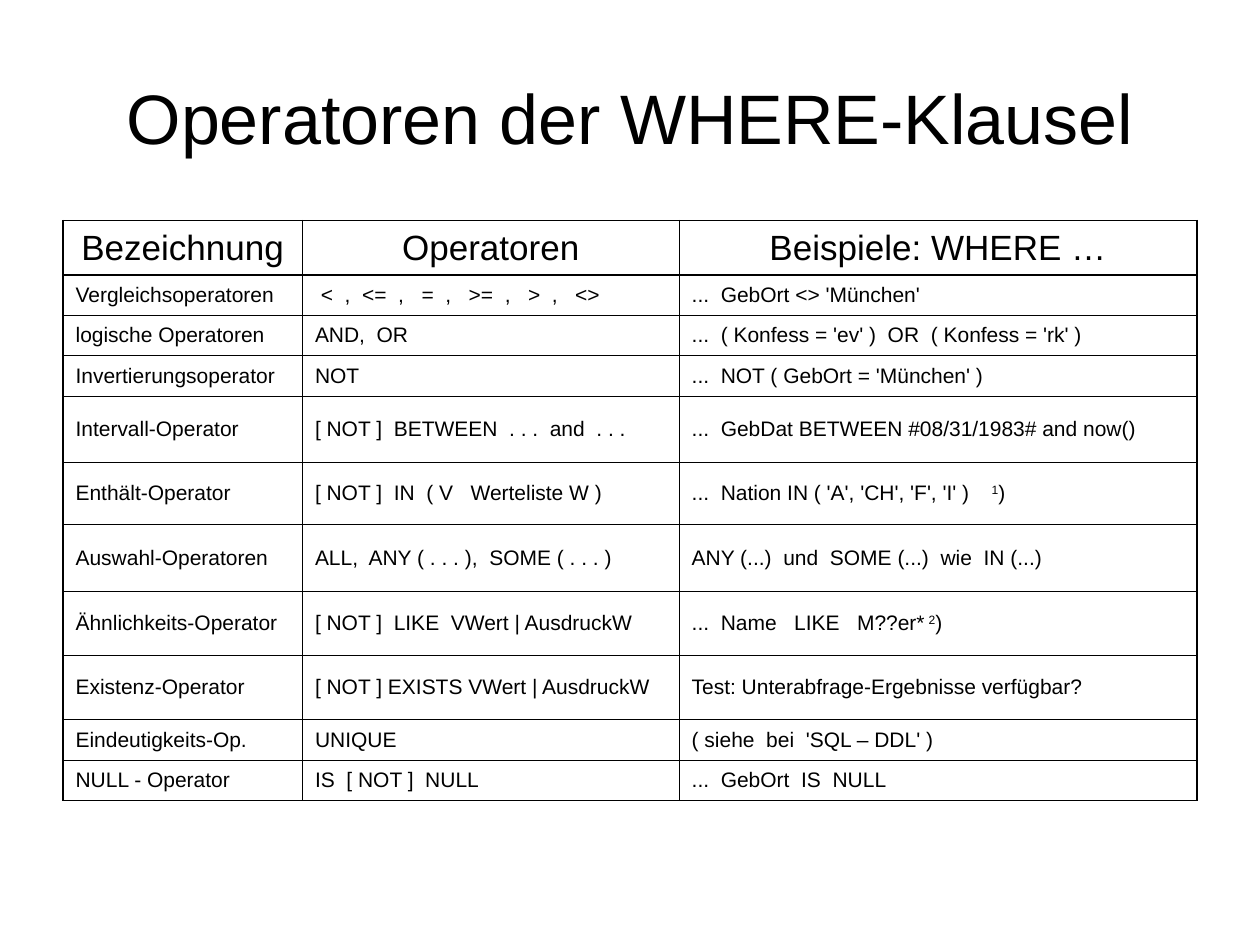
from lxml import etree
from pptx import Presentation
from pptx.dml.color import RGBColor
from pptx.enum.text import MSO_ANCHOR, PP_ALIGN
from pptx.oxml.ns import qn
from pptx.util import Inches, Pt

CENTER, LEFT = PP_ALIGN.CENTER, PP_ALIGN.LEFT
MIDDLE = MSO_ANCHOR.MIDDLE
BLANK_LAYOUT = 6
THIN, THICK = 0.45, 0.96

COLUMN_WIDTHS = [1.9, 2.99, 4.11]
ROW_HEIGHTS = [0.43, 0.32, 0.32, 0.32, 0.53, 0.49, 0.53, 0.51, 0.51, 0.32, 0.32]
OPERATOR_ROWS = [
    ("Bezeichnung", "Operatoren", "Beispiele: WHERE …"),
    ("Vergleichsoperatoren", " <  ,  <=  ,   =  ,   >=  ,   >  ,   <>", "...  GebOrt <> 'München'"),
    ("logische Operatoren", "AND,  OR", "...  ( Konfess = 'ev' )  OR  ( Konfess = 'rk' )"),
    ("Invertierungsoperator", "NOT", "...  NOT ( GebOrt = 'München' )"),
    ("Intervall-Operator", "[ NOT ]  BETWEEN  . . .  and  . . .",
     "...  GebDat BETWEEN #08/31/1983# and now()"),
    ("Enthält-Operator", "[ NOT ]  IN  ( V   Werteliste W )", "...  Nation IN ( 'A', 'CH', 'F', 'I' )"),
    ("Auswahl-Operatoren", "ALL,  ANY ( . . . ),  SOME ( . . . )",
     "ANY (...)  und  SOME (...)  wie  IN (...)"),
    ("Ähnlichkeits-Operator", "[ NOT ]  LIKE  VWert | AusdruckW", "...  Name   LIKE   M??er*"),
    ("Existenz-Operator", "[ NOT ] EXISTS VWert | AusdruckW",
     "Test: Unterabfrage-Ergebnisse verfügbar?"),
    ("Eindeutigkeits-Op.", "UNIQUE", "( siehe  bei  'SQL – DDL' )"),
    ("NULL - Operator", "IS  [ NOT ]  NULL", "...  GebOrt  IS  NULL"),
]
FOOTNOTES = {(5, 2): ("1", 2.91), (7, 2): ("2", 3.15)}


def color(value):
    """Turn a hex string into a colour."""
    return RGBColor.from_string(value)


def apply_format(target, values):
    """Set each attribute of the target from the format values."""
    for name, value in values.items():
        setattr(target, name, value)


class SlideBuilder:
    """Holds the style and the current slide."""

    font_name = "Arial"
    ink = "000000"
    cell_format = {
        "vertical_anchor": MIDDLE,
        "margin_left": Inches(0.1),
        "margin_right": Inches(0.1),
        "margin_top": Inches(0.05),
        "margin_bottom": Inches(0.05),
    }

    def __init__(self, slide):
        """Keep the slide to draw on."""
        self.slide = slide

    def run(self, paragraph, text, size, superscript=False):
        """Add one styled run."""
        run = paragraph.add_run()
        run.text = text
        apply_format(run.font, {"name": self.font_name, "size": Pt(size)})
        run.font.color.rgb = color(self.ink)
        if superscript:
            run.font._element.set("baseline", "30000")

    def title(self, text, left, top, width, height):
        """Add the centred slide title."""
        box = self.slide.shapes.add_textbox(*map(Inches, (left, top, width, height)))
        apply_format(box.text_frame, {"word_wrap": True, "vertical_anchor": MIDDLE})
        paragraph = box.text_frame.paragraphs[0]
        paragraph.alignment = CENTER
        self.run(paragraph, text, 40)

    def footnote(self, paragraph, mark, position, size):
        """Add a superscript footnote mark at a tab stop."""
        tabs = etree.SubElement(paragraph._p.get_or_add_pPr(), qn("a:tabLst"))
        etree.SubElement(tabs, qn("a:tab"), pos=str(Inches(position)), algn="l")
        self.run(paragraph, "\t", size)
        self.run(paragraph, mark, size, superscript=True)
        self.run(paragraph, ")", size)

    def borders(self, cell, widths):
        """Draw the left, right, top and bottom borders of a cell."""
        properties = cell._tc.get_or_add_tcPr()
        for side, width in zip("LRTB", widths):
            line = etree.SubElement(properties, qn(f"a:ln{side}"), w=str(Pt(width)))
            fill = etree.SubElement(line, qn("a:solidFill"))
            etree.SubElement(fill, qn("a:srgbClr"), val=self.ink)

    def cell(self, cell, text, is_header, widths, footnote):
        """Fill and style one table cell."""
        apply_format(cell, self.cell_format)
        self.borders(cell, widths)
        cell.fill.background()
        paragraph = cell.text_frame.paragraphs[0]
        paragraph.alignment = CENTER if is_header else LEFT
        indent = Inches(0.38)
        apply_format(paragraph._p.get_or_add_pPr(), {"marL": indent, "indent": -indent})
        for name, value in (("marL", indent), ("indent", -indent)):
            paragraph._p.get_or_add_pPr().set(name, str(value))
        size = 20 if is_header else 12
        self.run(paragraph, text, size)
        if footnote:
            self.footnote(paragraph, *footnote, size)

    def table(self, rows, column_widths, row_heights, left, top):
        """Add a table with a thick frame and a thick line below its header."""
        area = (left, top, sum(column_widths), sum(row_heights))
        last_row, last_column = len(rows) - 1, len(column_widths) - 1
        frame = self.slide.shapes.add_table(len(rows), len(column_widths), *map(Inches, area))
        table = frame.table
        apply_format(table, {"first_row": False, "horz_banding": False})
        for column, width in zip(table.columns, column_widths):
            column.width = Inches(width)
        for row_index, (texts, height) in enumerate(zip(rows, row_heights)):
            table.rows[row_index].height = Inches(height)
            for column_index, text in enumerate(texts):
                thick_sides = (column_index == 0, column_index == last_column,
                               row_index <= 1, row_index in (0, last_row))
                widths = [THICK if thick else THIN for thick in thick_sides]
                self.cell(table.cell(row_index, column_index), text, row_index == 0,
                          widths, FOOTNOTES.get((row_index, column_index)))


def main():
    """Build and save the presentation."""
    presentation = Presentation()
    apply_format(presentation, {"slide_width": Inches(10), "slide_height": Inches(7.5)})
    slide = presentation.slides.add_slide(presentation.slide_layouts[BLANK_LAYOUT])
    builder = SlideBuilder(slide)
    builder.title("Operatoren der WHERE-Klausel", 0.5, 0.3, 9, 1.25)
    builder.table(OPERATOR_ROWS, COLUMN_WIDTHS, ROW_HEIGHTS, 0.5, 1.75)
    presentation.save("out.pptx")


if __name__ == "__main__":
    main()
